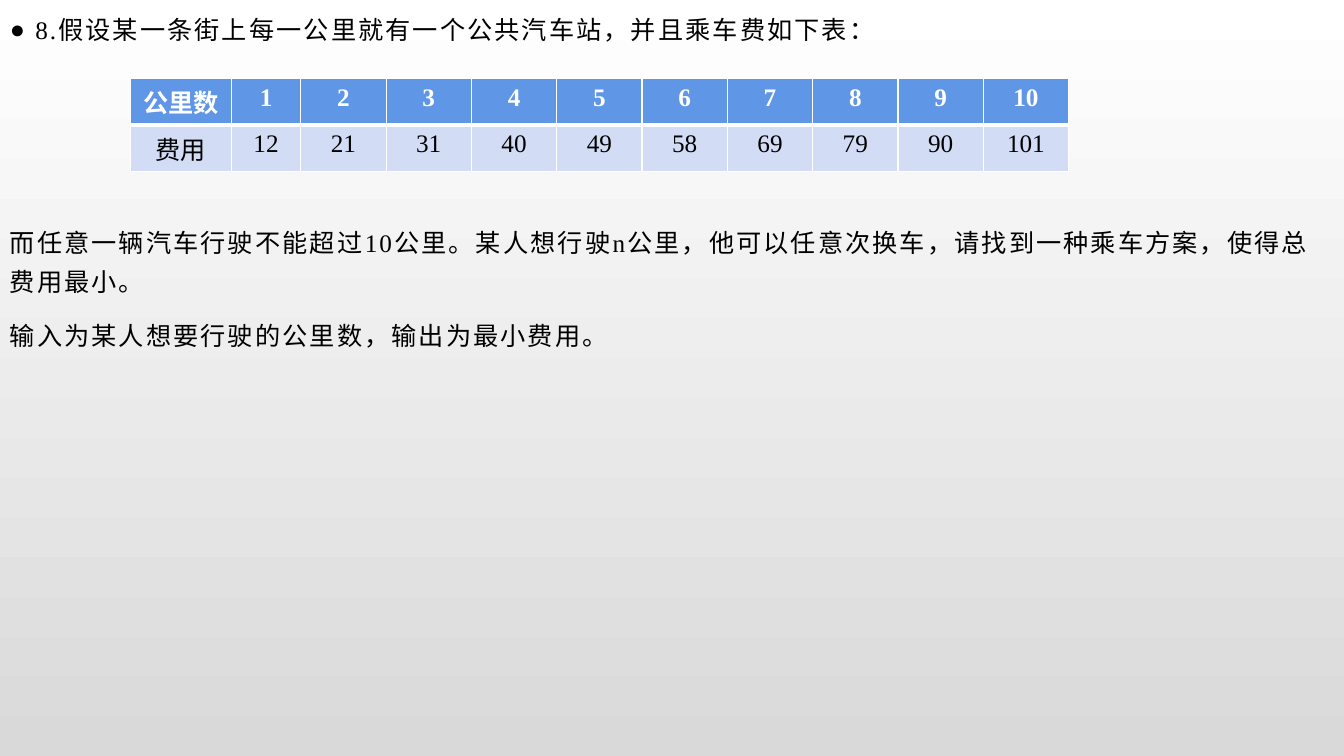
from dataclasses import dataclass

from lxml.etree import SubElement
from pptx import Presentation
from pptx.dml.color import RGBColor
from pptx.enum.text import MSO_ANCHOR, MSO_AUTO_SIZE, PP_ALIGN
from pptx.oxml.ns import qn
from pptx.util import Cm, Pt


@dataclass(frozen=True)
class Theme:
    font: str = "Times New Roman"
    size: int = 18
    ink: str = "000000"
    white: str = "FFFFFF"
    header_fill: str = "6096E6"
    fare_fill: str = "D2DDF5"
    background: tuple = ("FFFFFF", "D9D9D9")


THEME = Theme()

QUESTION = "8.假设某一条街上每一公里就有一个公共汽车站，并且乘车费如下表："
REQUIREMENTS = [
    "而任意一辆汽车行驶不能超过10公里。某人想行驶n公里，他可以任意次换车，请找到一种乘车方案，使得总费用最小。",
    "输入为某人想要行驶的公里数，输出为最小费用。",
]
FARES = [12, 21, 31, 40, 49, 58, 69, 79, 90, 101]


def set_all(target, formats):
    for attribute, value in formats.items():
        setattr(target, attribute, value)


def style_run(run, color, bold=False):
    set_all(run.font, {"name": THEME.font, "size": Pt(THEME.size), "bold": bold})
    run.font.color.rgb = RGBColor.from_string(color)


def paint_background(slide):
    fill = slide.background.fill
    fill.gradient()
    fill.gradient_angle = 270  # counter-clockwise, so the fade runs downwards
    for stop, color in zip(fill.gradient_stops, THEME.background):
        stop.color.rgb = RGBColor.from_string(color)


def write_paragraphs(frame, texts, bullet=None):
    set_all(frame, {
        "word_wrap": True, "auto_size": MSO_AUTO_SIZE.NONE,
        "vertical_anchor": MSO_ANCHOR.TOP,
        "margin_left": Cm(0.25), "margin_right": Cm(0.25),
        "margin_top": Cm(0.13), "margin_bottom": Cm(0.13),
    })
    for index, text in enumerate(texts):
        paragraph = frame.add_paragraph() if index else frame.paragraphs[0]
        if bullet:
            properties = paragraph._p.get_or_add_pPr()
            properties.set("marL", str(Cm(0.64)))
            properties.set("indent", str(-Cm(0.64)))
            SubElement(properties, qn("a:buChar")).set("char", bullet)
        set_all(paragraph, {"line_spacing": 1.3, "space_before": Pt(0),
                            "space_after": Pt(10), "alignment": PP_ALIGN.LEFT})
        run = paragraph.add_run()
        run.text = text
        style_run(run, THEME.ink)
        run._r.get_or_add_rPr().set("spc", "150")  # letter spacing of 1.5 pt


def add_borders(cell, bottom):
    properties = cell._tc.get_or_add_tcPr()
    for side, width in {"L": 1, "R": 1, "T": 1, "B": bottom}.items():
        line = SubElement(properties, qn(f"a:ln{side}"), w=str(Pt(width)))
        color = SubElement(SubElement(line, qn("a:solidFill")), qn("a:srgbClr"))
        color.set("val", THEME.white)


def fill_cell(cell, text, fill, color, bold, bottom):
    add_borders(cell, bottom)
    cell.fill.solid()
    cell.fill.fore_color.rgb = RGBColor.from_string(fill)
    paragraph = cell.text_frame.paragraphs[0]
    paragraph.alignment = PP_ALIGN.CENTER
    run = paragraph.add_run()
    run.text = str(text)
    style_run(run, color, bold)


def add_fare_table(slide):
    distances = range(1, len(FARES) + 1)
    rows = [
        (["公里数", *distances], THEME.header_fill, THEME.white, True, 3),
        (["费用", *FARES], THEME.fare_fill, THEME.ink, False, 1),
    ]
    widths = [2.54, 1.75] + [2.15] * (len(FARES) - 1)
    table = slide.shapes.add_table(len(rows), len(widths), Cm(3.29), Cm(1.98),
                                   Cm(sum(widths)), Cm(2.1)).table
    for column, width in zip(table.columns, widths):
        column.width = Cm(width)
    for row, (values, *look) in zip(table.rows, rows):
        for cell, value in zip(row.cells, values):
            fill_cell(cell, value, *look)


def main():
    presentation = Presentation()
    set_all(presentation, {"slide_width": Cm(33.87), "slide_height": Cm(19.05)})
    slide = presentation.slides.add_slide(presentation.slide_layouts[1])
    paint_background(slide)

    # The slide has no title, only body text
    title = slide.shapes.title
    title._element.getparent().remove(title._element)

    # Question above the table
    question = slide.placeholders[1]
    set_all(question, {"left": Cm(0), "top": Cm(0),
                       "width": Cm(33.87), "height": Cm(1.8)})
    write_paragraphs(question.text_frame, [QUESTION], bullet="●")

    # Fares by distance
    add_fare_table(slide)

    # Requirements below the table
    requirements = slide.shapes.add_textbox(Cm(0), Cm(5.37), Cm(33.87), Cm(4))
    write_paragraphs(requirements.text_frame, REQUIREMENTS)

    presentation.save("out.pptx")


if __name__ == "__main__":
    main()
